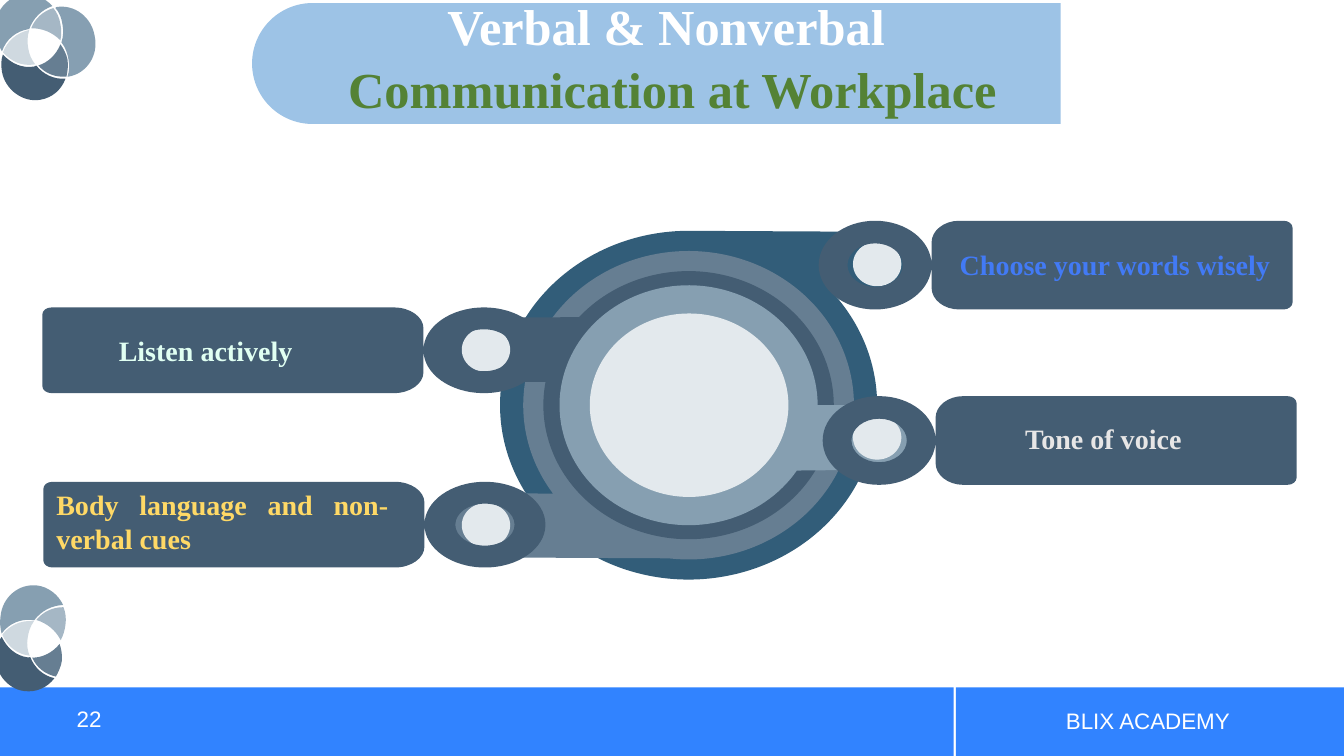
import math

import lxml.etree
import pptx
import pptx.dml.color
import pptx.enum.shapes
import pptx.enum.text
import pptx.oxml.ns
import pptx.util

SHAPE = pptx.enum.shapes.MSO_SHAPE
ALIGN = pptx.enum.text.PP_ALIGN
ANCHOR = pptx.enum.text.MSO_ANCHOR
AUTO = pptx.enum.text.MSO_AUTO_SIZE

COLORS = {
    "footer": "3183FF", "banner": "9DC3E6", "white": "FFFFFF", "green": "548235",
    "teal": "325D79", "slate": "667E92", "navy": "445D73", "steel": "869FB1",
    "mist": "E3E9ED", "haze": "A5B7C5", "pale": "CFD9E0", "petal": "869FB2",
    "blue": "427AF5", "gray": "E7E6E6", "gold": "FFD966", "mint": "E0FFF2",
}
SERIF, SANS = "Times New Roman", "Arial"

HUB = (683, 402)
RIGHT_TAB, LEFT_TAB = (90, -90), (-90, -270)
HUB_LAYERS = [
    ("teal", 187, 173, (-90, -399), (870, 262), RIGHT_TAB),
    ("slate", 164, 153, (97, -215), (482, 521), LEFT_TAB),
    ("navy", 144, 133, (190, -139), (482, 347), LEFT_TAB),
    ("steel", 128, 119, (0, -327), (870, 434), RIGHT_TAB),
]
RIGHT_CALLOUT, LEFT_CALLOUT = (56, 44, 358, 1), (60, 42.5, 378, -1)
CALLOUTS = [
    (868, 263, RIGHT_CALLOUT),
    (872, 437, RIGHT_CALLOUT),
    (481, 520.5, LEFT_CALLOUT),
    (480, 347.5, LEFT_CALLOUT),
]
LABELS = [
    ("Choose your words wisely", (942, 241, 331, 44), "blue", False),
    ("Tone of voice", (1007, 413, 176, 44), "gray", False),
    ("Body language and non-verbal cues", (46, 479, 349, 77), "gold", True),
    ("Listen actively", (108, 326, 194, 44), "mint", False),
]
VENN_CENTER = (28.5, 47.5)
PETALS = [
    ("petal", [(94, 36), (91, 17), (74, 4), (56, 7), (56, 7), (55, 7), (55, 8),
               (59, 12), (61, 18), (62, 24), (63, 30), (63, 36), (61, 42),
               (65, 47), (67, 53), (68, 59), (69, 65), (69, 70), (67, 76),
               (68, 76), (68, 76), (68, 76), (86, 73), (98, 55), (94, 36)]),
    ("navy", [(65, 78), (54, 79), (43, 74), (36, 65), (35, 65), (35, 66), (34, 66),
              (22, 68), (11, 63), (3, 54), (1, 59), (1, 65), (2, 71),
              (5, 89), (23, 102), (40, 99), (52, 97), (61, 89), (65, 78)]),
    ("slate", [(67, 59), (66, 54), (63, 48), (60, 44), (56, 54), (48, 62), (38, 65),
               (45, 73), (55, 77), (66, 76), (67, 71), (68, 65), (67, 59)]),
    ("steel", [(52, 6), (45, -2), (33, -7), (22, -5), (4, -2), (-8, 16), (-4, 35),
               (-3, 41), (-1, 46), (2, 51), (6, 39), (16, 31), (28, 29),
               (28, 29), (29, 29), (29, 29), (33, 18), (41, 10), (52, 6)]),
    ("haze", [(60, 24), (59, 18), (57, 13), (53, 8), (43, 11), (35, 18), (31, 28),
              (42, 28), (52, 32), (60, 40), (61, 35), (61, 29), (60, 24)]),
    ("pale", [(29, 30), (29, 30), (28, 30), (28, 30), (16, 33), (7, 41), (3, 52),
              (11, 61), (22, 66), (34, 64), (34, 64), (35, 64), (35, 64),
              (31, 59), (29, 54), (28, 48), (27, 42), (27, 36), (29, 30)]),
]


def arc(cx, cy, rx, ry, start, end):
    pieces = math.ceil(abs(end - start) / 90)
    step = math.radians(end - start) / pieces
    k = 4 / 3 * math.tan(step / 4)
    angles = [math.radians(start) + i * step for i in range(pieces + 1)]

    def node(a, pull):
        return (cx + rx * (math.cos(a) - pull * math.sin(a)),
                cy + ry * (math.sin(a) + pull * math.cos(a)))

    nodes = [node(angles[0], 0)]
    for a, b in zip(angles, angles[1:]):
        nodes += [node(a, k), node(b, -k), node(b, 0)]
    return nodes


def join(first, *others):
    nodes = list(first)
    for other in others:
        nodes += [nodes[-1], other[0], *other]
    return nodes


class Deck:
    PX = 9144

    def __init__(self, width, height):
        self.prs = pptx.Presentation()
        self.prs.slide_width, self.prs.slide_height = self.emu(width, height)
        self.s = self.prs.slides.add_slide(self.prs.slide_layouts[5])

    def emu(self, *lengths):
        return [pptx.util.Emu(round(v * self.PX)) for v in lengths]

    def rgb(self, color):
        return pptx.dml.color.RGBColor.from_string(COLORS[color])

    def paint(self, sp, color):
        sp.shadow.inherit = False
        sp.fill.solid()
        sp.fill.fore_color.rgb = self.rgb(color)
        sp.line.fill.background()
        return sp

    def shape(self, kind, box, color):
        return self.paint(self.s.shapes.add_shape(kind, *self.emu(*box)), color)

    def outline(self, color, *contours):
        curves = [[self.emu(*node) for node in contour] for contour in contours]
        fb = self.s.shapes.build_freeform(*curves[0][0])
        fb.add_line_segments(curves[0][1:])
        for nodes in curves[1:]:
            fb.move_to(*nodes[0])
            fb.add_line_segments(nodes[1:])
        sp = self.paint(fb.convert_to_shape(), color)
        lines = list(sp._element.iter(pptx.oxml.ns.qn("a:lnTo")))
        for i in range(0, len(lines), 3):
            curve = lxml.etree.Element(pptx.oxml.ns.qn("a:cubicBezTo"))
            lines[i].addprevious(curve)
            for line in lines[i:i + 3]:
                curve.append(line[0])
                line.getparent().remove(line)

    def style(self, p, size, font, color, align, bold=False):
        p.alignment = align
        for r in p.runs:
            r.font.size = pptx.util.Pt(size)
            r.font.name = font
            r.font.bold = bold
            r.font.color.rgb = self.rgb(color)

    def text(self, text, box, size, font, color, align, bold=False, wrap=True,
             anchor=ANCHOR.TOP, auto=AUTO.NONE):
        tf = self.s.shapes.add_textbox(*self.emu(*box)).text_frame
        tf.text = text
        tf.word_wrap = wrap
        tf.auto_size = auto
        tf.vertical_anchor = anchor
        self.style(tf.paragraphs[0], size, font, color, align, bold)
        return tf

    def clear_margins(self, tf):
        tf.margin_left = tf.margin_right = tf.margin_top = tf.margin_bottom = 0

    def title(self, text, box, colors):
        sp = self.s.shapes.title
        sp.left, sp.top, sp.width, sp.height = self.emu(*box)
        self.s.shapes._spTree.append(sp._element)
        tf = sp.text_frame
        tf.text = text
        tf.word_wrap = True
        tf.auto_size = AUTO.NONE
        tf.vertical_anchor = ANCHOR.MIDDLE
        self.clear_margins(tf)
        for p, color in zip(tf.paragraphs, colors):
            p.line_spacing = 0.9
            p.space_after = pptx.util.Pt(6)
            self.style(p, 36, SERIF, color, ALIGN.CENTER, True)

    def hub_layer(self, color, rx, ry, sweep, tab, tab_sweep):
        self.outline(color, join(arc(*HUB, rx, ry, *sweep), arc(*tab, 34, 32, *tab_sweep)))
        self.shape(SHAPE.OVAL, (tab[0] - 24, tab[1] - 22, 48, 44), "mist")

    def callout(self, cx, cy, rx, ry, length, side):
        hole_x, hole_y = 0.49 * rx, 0.49 * ry
        near, far = cx + side * rx, cx + side * (rx + length)
        top, bottom = cy - ry, cy + ry
        inner_x, outer_x = near + side * hole_x, far - side * 9
        box = join(arc(inner_x, top + hole_y, side * hole_x, hole_y, 180, 270),
                   arc(outer_x, top + 7, side * 9, 7, 270, 360),
                   arc(outer_x, bottom - 7, side * 9, 7, 0, 90),
                   arc(inner_x, bottom - hole_y, side * hole_x, hole_y, 90, 180))
        self.outline("navy", arc(cx, cy, hole_x, hole_y, 0, 360),
                     arc(cx, cy, rx, ry, 360, 0), box)

    def venn(self, petals, center, degrees):
        c, n = math.cos(math.radians(degrees)), math.sin(math.radians(degrees))
        for color, nodes in petals:
            offsets = [(x - VENN_CENTER[0], y - VENN_CENTER[1]) for x, y in nodes]
            self.outline(color, [(center[0] + x * c - y * n, center[1] + x * n + y * c)
                                 for x, y in offsets])


def main():
    deck = Deck(1333, 750)
    deck.shape(SHAPE.RECTANGLE, (0, 682, 946, 68), "footer")
    deck.shape(SHAPE.RECTANGLE, (948, 682, 385, 68), "footer")
    deck.text("BLIX ACADEMY", (961, 695, 355, 40), 16, SANS, "white", ALIGN.CENTER,
              anchor=ANCHOR.MIDDLE)
    number = deck.text("22", (76, 695, 765, 40), 16, SANS, "white", ALIGN.LEFT,
                       anchor=ANCHOR.MIDDLE)
    number.paragraphs[0].line_spacing = 0.9
    deck.clear_margins(number)

    for layer in HUB_LAYERS:
        deck.hub_layer(*layer)
    deck.shape(SHAPE.OVAL, (585, 311, 197, 182), "mist")
    for cx, cy, size in CALLOUTS:
        deck.callout(cx, cy, *size)
    for text, box, color, wrap in LABELS:
        deck.text(text, box, 20, SERIF, color, ALIGN.JUSTIFY, True, wrap,
                  auto=AUTO.SHAPE_TO_FIT_TEXT)

    deck.venn(PETALS[1:], (28, 633), 17)
    deck.venn(PETALS, VENN_CENTER, 0)

    banner = deck.shape(SHAPE.ROUND_2_SAME_RECTANGLE, (591, -338, 120, 802), "banner")
    banner.rotation = 270
    banner.adjustments[0], banner.adjustments[1] = 0.5, 0
    deck.title("Verbal & Nonverbal \nCommunication at Workplace", (282, 2, 770, 117),
               ("white", "green"))
    deck.prs.save("out.pptx")


if __name__ == "__main__":
    main()
